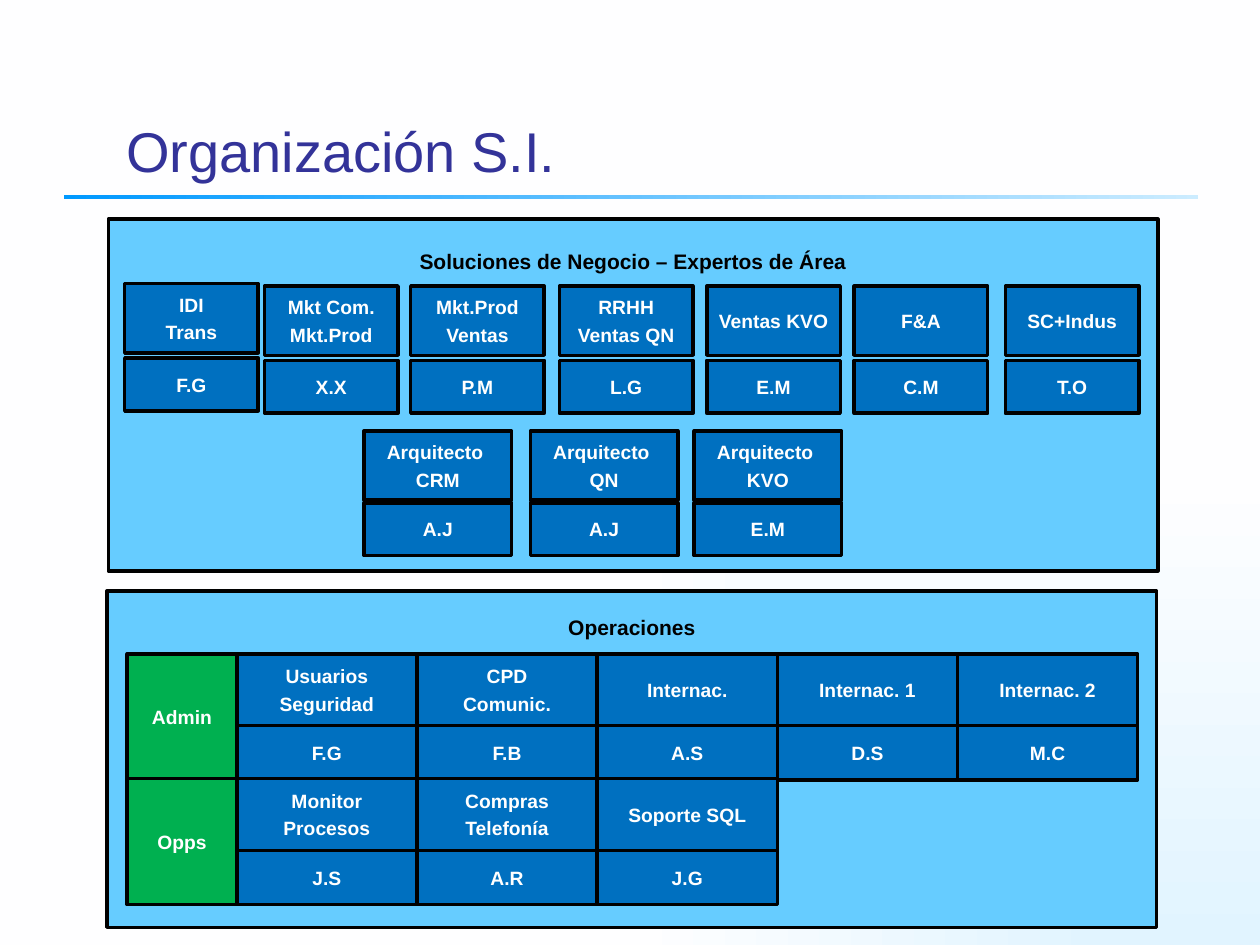
"""Build the information systems organisation slide."""
from lxml import etree
from pptx import Presentation
from pptx.dml.color import RGBColor
from pptx.enum import shapes, text
from pptx.oxml import ns
from pptx.util import Inches, Pt

BLUE, GREEN, SKY, BLACK, WHITE = "0070C0", "00B050", "66CCFF", "000000", "FFFFFF"


def set_gradient(fill, colors):
    fill.gradient()
    for stop, color in zip(fill.gradient_stops, colors):
        stop.color.rgb = RGBColor.from_string(color)


def add_box(left, top, width, height, label, color=BLUE, ink=WHITE, size=11, inset=None):
    box = page.shapes.add_shape(shapes.MSO_SHAPE.RECTANGLE, Inches(left), Inches(top),
                                Inches(width), Inches(height))
    box.shadow.inherit = False
    box.fill.solid()
    box.fill.fore_color.rgb = RGBColor.from_string(color)
    box.line.color.rgb = RGBColor.from_string(BLACK)
    box.line.width = Pt(2)
    frame = box.text_frame
    frame.word_wrap = True
    frame.margin_left = frame.margin_right = Inches(0.05)
    frame.vertical_anchor = text.MSO_ANCHOR.MIDDLE
    if inset:
        frame.vertical_anchor = text.MSO_ANCHOR.TOP
        frame.margin_top = Inches(inset)
    frame.text = label
    for para in frame.paragraphs:
        para.alignment = text.PP_ALIGN.CENTER
        para.space_before = Pt(0 if inset else 2.5)
        para.font.name = "Arial"
        para.font.size = Pt(size)
        para.font.bold = True
        para.font.color.rgb = RGBColor.from_string(ink)


deck = Presentation()
deck.slide_width, deck.slide_height = Inches(10), Inches(7.5)
page = deck.slides.add_slide(deck.slide_layouts[5])

backdrop = page.background.fill
set_gradient(backdrop, ["E1F4FF", "FEFEFF"])
linear = page.background._cSld.find(".//" + ns.qn("a:lin"))
radial = etree.Element(ns.qn("a:path"), {"path": "rect"})
etree.SubElement(radial, ns.qn("a:fillToRect"), {"l": "100000", "t": "100000"})
linear.getparent().replace(linear, radial)

rule = page.shapes.add_shape(shapes.MSO_SHAPE.RECTANGLE, Inches(0.51), Inches(1.55),
                             Inches(9), Inches(0.03))
rule.shadow.inherit = False
rule.line.fill.background()
set_gradient(rule.fill, ["0099FF", "CCECFF"])
rule.fill.gradient_angle = 0

title = page.shapes.title
title.left, title.top = Inches(0.9), Inches(0.68)
title.width, title.height = Inches(8.52), Inches(0.83)
title.text_frame.text = "Organización S.I."
title.text_frame.vertical_anchor = text.MSO_ANCHOR.BOTTOM
heading = title.text_frame.paragraphs[0]
heading.alignment = text.PP_ALIGN.LEFT
heading.font.name = "Arial"
heading.font.size = Pt(32)
heading.font.color.rgb = RGBColor.from_string("333399")

add_box(0.86, 1.74, 8.33, 2.79, "Soluciones de Negocio – Expertos de Área",
        SKY, BLACK, 12, 0.23)
add_box(0.85, 4.69, 8.33, 2.67, "Operaciones", SKY, BLACK, 12, 0.19)

experts = [
    (0.99, 2.25, "IDI\nTrans", "F.G"),
    (2.1, 2.27, "Mkt Com.\nMkt.Prod", "X.X"),
    (3.26, 2.27, "Mkt.Prod\nVentas", "P.M"),
    (4.44, 2.27, "RRHH\nVentas QN", "L.G"),
    (5.61, 2.27, "Ventas KVO", "E.M"),
    (6.78, 2.27, "F&A", "C.M"),
    (7.98, 2.27, "SC+Indus", "T.O"),
]
for left, top, area, person in experts:
    add_box(left, top, 1.06, 0.55, area)
    add_box(left, top + 0.59, 1.06, 0.42, person)

architects = [(2.89, "CRM", "A.J"), (4.21, "QN", "A.J"), (5.51, "KVO", "E.M")]
for left, system, person in architects:
    add_box(left, 3.42, 1.17, 0.55, "Arquitecto \n" + system)
    add_box(left, 3.99, 1.17, 0.42, person)

operations = [
    ("Admin", 5.19, [("Usuarios\nSeguridad", "F.G"), ("CPD\nComunic.", "F.B"),
                     ("Internac.", "A.S"), ("Internac. 1", "D.S"), ("Internac. 2", "M.C")]),
    ("Opps", 6.18, [("Monitor\nProcesos", "J.S"), ("Compras\nTelefonía", "A.R"),
                    ("Soporte SQL", "J.G")]),
]
for team, top, duties in operations:
    add_box(1.01, top, 0.87, 1, team, GREEN)
    for column, (duty, person) in enumerate(duties):
        left = 1.88 + 1.43 * column
        add_box(left, top, 1.43, 0.57, duty)
        add_box(left, top + 0.57, 1.43, 0.43, person)

deck.save("out.pptx")
